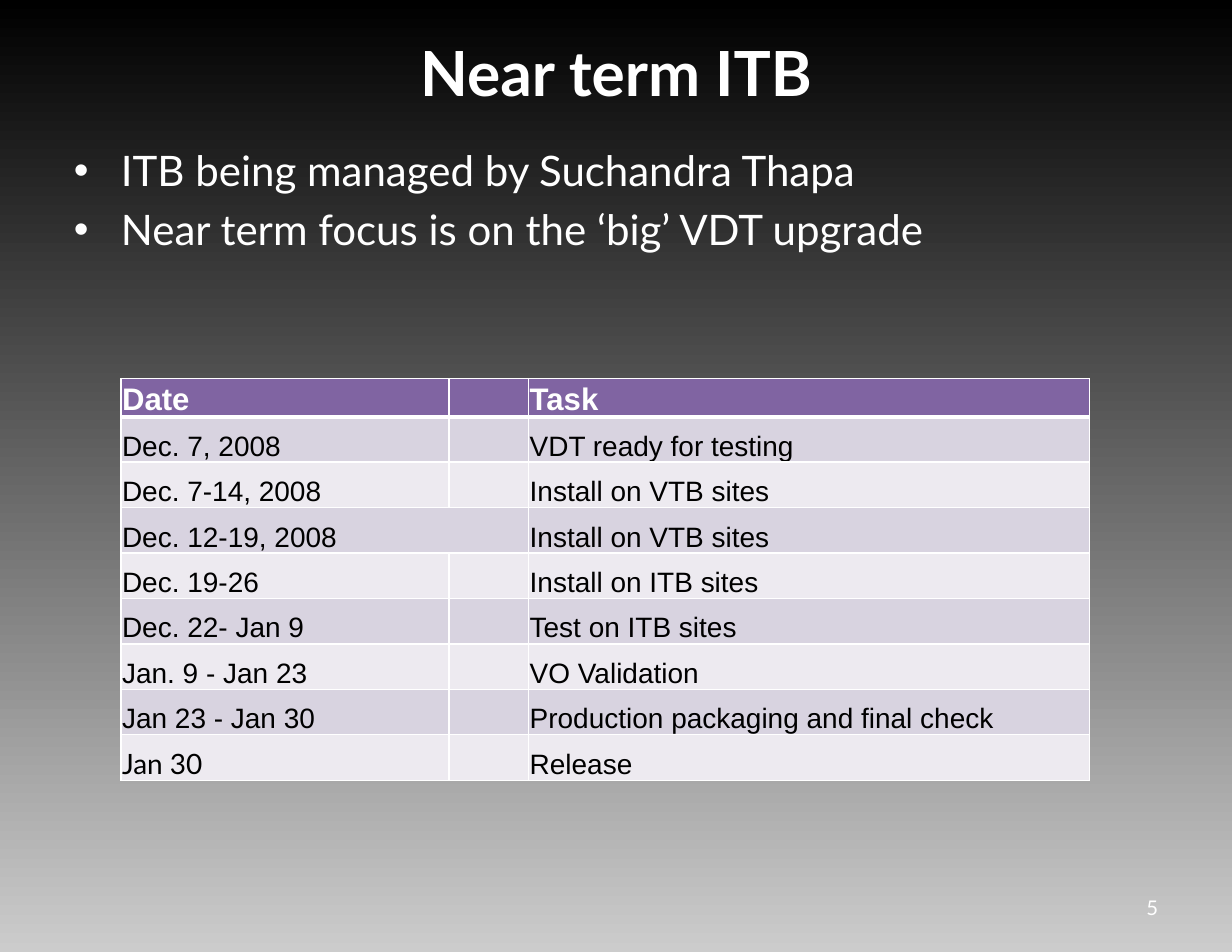
"""Build the near term ITB schedule slide."""
import lxml.etree
import pptx
import pptx.dml.color
import pptx.enum.text
import pptx.oxml.ns
import pptx.util

Inches = pptx.util.Inches
Pt = pptx.util.Pt
RGBColor = pptx.dml.color.RGBColor
Align = pptx.enum.text.PP_ALIGN
Anchor = pptx.enum.text.MSO_ANCHOR
qn = pptx.oxml.ns.qn

WHITE = RGBColor(0xFF, 0xFF, 0xFF)
BLACK = RGBColor(0, 0, 0)
SILVER = RGBColor(0xCC, 0xCC, 0xCC)
PURPLE = RGBColor(0x80, 0x64, 0xA2)
BANDS = (RGBColor(0xD8, 0xD3, 0xE0), RGBColor(0xED, 0xEA, 0xF0))

BULLETS = (
    "ITB being managed by Suchandra Thapa",
    "Near term focus is on the ‘big’ VDT upgrade",
)
SCHEDULE = (
    ("Date", "Task"),
    ("Dec. 7, 2008", "VDT ready for testing"),
    ("Dec. 7-14, 2008", "Install on VTB sites"),
    ("Dec. 12-19, 2008", "Install on VTB sites"),
    ("Dec. 19-26", "Install on ITB sites"),
    ("Dec. 22- Jan 9", "Test on ITB sites"),
    ("Jan. 9 - Jan 23", "VO Validation"),
    ("Jan 23 - Jan 30", "Production packaging and final check"),
    ("Jan 30", "Release"),
)
MERGED_ROW = 3
COLUMN_WIDTHS = (2.93, 0.71, 5.01)
TABLE_HEIGHT = 3.59
HEADER_HEIGHT = 0.34


class SlideBuilder:
    """Hold the style and the current slide."""

    text_font = "Lato"
    table_font = "Arial"

    def __init__(self, page):
        self.page = page

    def background(self, bottom, top):
        fill = self.page.background.fill
        fill.gradient()
        fill.gradient_angle = 90
        for stop, color in zip(fill.gradient_stops, (bottom, top)):
            stop.color.rgb = color

    def style(self, para, size, color, bold=False, name=None):
        font = para.font
        font.name = name or self.text_font
        font.size = Pt(size)
        font.bold = bold
        font.color.rgb = color

    def frame(self, box, area, anchor):
        box.left, box.top, box.width, box.height = map(Inches, area)
        frame = box.text_frame
        frame.word_wrap = True
        frame.auto_size = pptx.enum.text.MSO_AUTO_SIZE.NONE
        frame.vertical_anchor = anchor
        frame.margin_left = frame.margin_right = Inches(0.11)
        frame.margin_top = frame.margin_bottom = Inches(0.06)
        return frame

    def title(self, text, area):
        frame = self.frame(self.page.shapes.title, area, Anchor.MIDDLE)
        frame.text = text
        para = frame.paragraphs[0]
        para.alignment = Align.CENTER
        self.style(para, 40, WHITE, bold=True)

    def text(self, lines, area, size, anchor=Anchor.TOP, align=Align.LEFT, bullet=None):
        box = self.page.shapes.add_textbox(*map(Inches, area))
        frame = self.frame(box, area, anchor)
        frame.text = "\n".join(lines)
        for para in frame.paragraphs:
            para.alignment = align
            if bullet:
                para.space_before = Pt(size * 0.2)
                properties = para._p.get_or_add_pPr()
                properties.set("marL", str(Inches(0.42)))
                properties.set("indent", str(-Inches(0.42)))
                lxml.etree.SubElement(properties, qn("a:buFont"), typeface="Arial")
                lxml.etree.SubElement(properties, qn("a:buChar"), char=bullet)
            self.style(para, size, WHITE)

    def borders(self, cell, widths):
        properties = cell._tc.get_or_add_tcPr()
        for side, width in zip("LRTB", widths):
            line = lxml.etree.SubElement(properties, qn(f"a:ln{side}"), w=str(Pt(width)))
            fill = lxml.etree.SubElement(line, qn("a:solidFill"))
            lxml.etree.SubElement(fill, qn("a:srgbClr"), val=str(WHITE))

    def cell(self, cell, text, row):
        header = row == 0
        self.borders(cell, (1, 1, 3 if row == 1 else 1, 3 if header else 1))
        cell.fill.solid()
        cell.fill.fore_color.rgb = PURPLE if header else BANDS[(row - 1) % 2]
        cell.vertical_anchor = Anchor.BOTTOM
        cell.margin_left = cell.margin_right = cell.margin_top = Inches(0.01)
        cell.margin_bottom = 0
        cell.text = text
        name = self.text_font if text == "Jan 30" else self.table_font
        size, color = (20, WHITE) if header else (18, BLACK)
        self.style(cell.text_frame.paragraphs[0], size, color, header, name)

    def schedule(self, rows, left, top):
        area = (left, top, sum(COLUMN_WIDTHS), TABLE_HEIGHT)
        shape = self.page.shapes.add_table(len(rows), len(COLUMN_WIDTHS), *map(Inches, area))
        table = shape.table
        for column, width in zip(table.columns, COLUMN_WIDTHS):
            column.width = Inches(width)
        body_height = (TABLE_HEIGHT - HEADER_HEIGHT) / (len(rows) - 1)
        for row, (date, task) in enumerate(rows):
            table.rows[row].height = Inches(body_height if row else HEADER_HEIGHT)
            for column, text in enumerate((date, "", task)):
                self.cell(table.cell(row, column), text, row)
        table.cell(MERGED_ROW, 0).merge(table.cell(MERGED_ROW, 1))


def main():
    deck = pptx.Presentation()
    deck.slide_width, deck.slide_height = Inches(11), Inches(8.5)
    builder = SlideBuilder(deck.slides.add_slide(deck.slide_layouts[5]))
    builder.background(SILVER, BLACK)
    builder.title("Near term ITB", (0.55, 0.19, 9.9, 0.89))
    builder.schedule(SCHEDULE, 1.08, 3.38)
    builder.text(["5"], (7.88, 7.88, 2.57, 0.45), 13, Anchor.MIDDLE, Align.RIGHT)
    builder.text(BULLETS, (0.55, 1.23, 8.37, 2.44), 27, bullet="•")
    deck.save("out.pptx")


if __name__ == "__main__":
    main()
